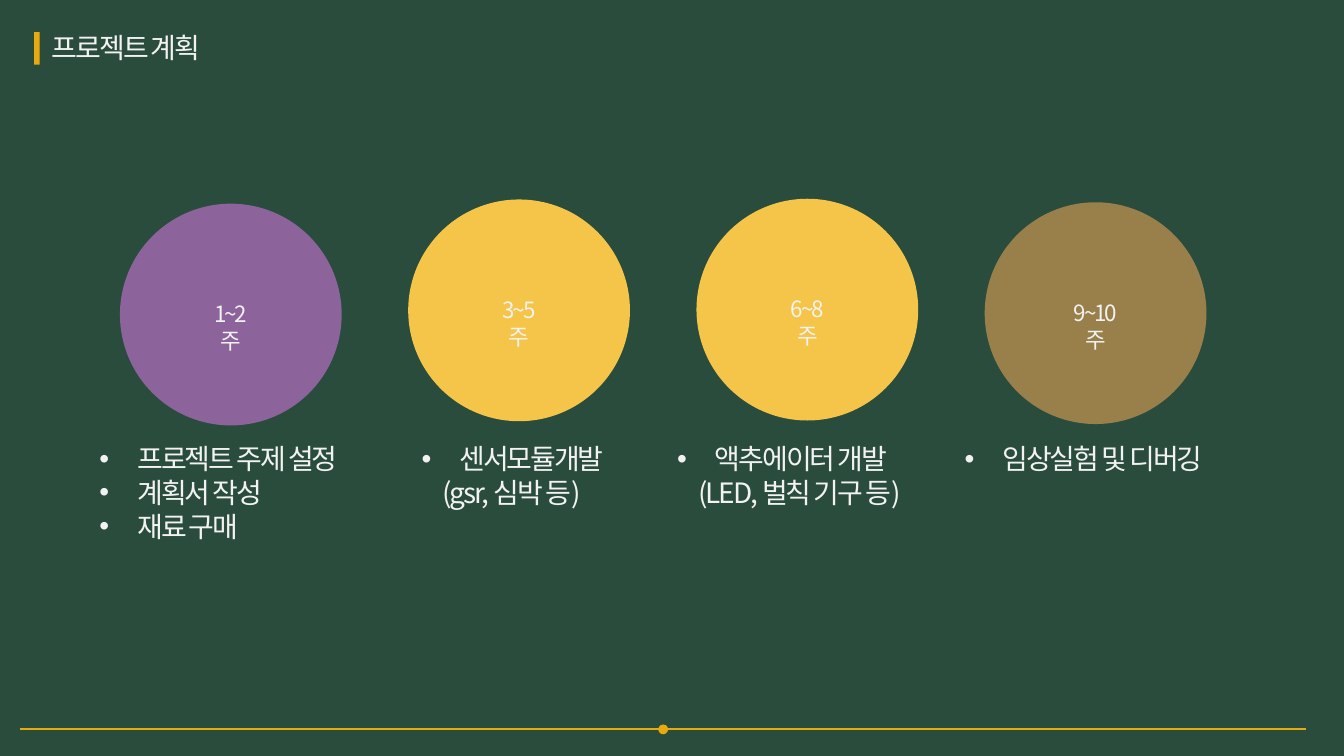
from dataclasses import dataclass

from lxml.etree import SubElement
from pptx import Presentation
from pptx.dml.color import RGBColor
from pptx.enum.shapes import MSO_CONNECTOR, MSO_SHAPE
from pptx.enum.text import MSO_AUTO_SIZE, PP_ALIGN
from pptx.oxml.ns import qn
from pptx.util import Pt


@dataclass(frozen=True)
class Theme:
    font: str = "Noto Sans CJK KR"
    background: str = "294C3D"
    text: str = "F2F2F2"
    accent: str = "E8AA0E"
    purple: str = "8C639B"
    yellow: str = "F4C549"
    brown: str = "99804B"
    body_size: float = 20
    label_size: float = 16
    letter_spacing: int = -150


class SlideBuilder:
    def __init__(self, slide, theme):
        self.slide = slide
        self.theme = theme
        fill = slide.background.fill
        fill.solid()
        fill.fore_color.rgb = RGBColor.from_string(theme.background)

    def shape(self, kind, left, top, width, height, color):
        shape = self.slide.shapes.add_shape(kind, Pt(left), Pt(top), Pt(width), Pt(height))
        shape.shadow.inherit = False
        shape.fill.solid()
        shape.fill.fore_color.rgb = RGBColor.from_string(color)
        shape.line.fill.background()

    def line(self, left, right, y):
        connector = self.slide.shapes.add_connector(
            MSO_CONNECTOR.STRAIGHT, Pt(left), Pt(y), Pt(right), Pt(y))
        connector.line.color.rgb = RGBColor.from_string(self.theme.accent)
        connector.line.width = Pt(1.5)
        SubElement(connector._element.spPr, qn("a:effectLst"))

    def text(self, content, left, top, width, height, size):
        box = self.slide.shapes.add_textbox(Pt(left), Pt(top), Pt(width), Pt(height))
        frame = box.text_frame
        frame.word_wrap = False
        frame.auto_size = MSO_AUTO_SIZE.SHAPE_TO_FIT_TEXT
        frame.text = content
        for paragraph in frame.paragraphs:
            for run in paragraph.runs:
                run.font.size = Pt(size)
                run.font.name = self.theme.font
                run.font.color.rgb = RGBColor.from_string(self.theme.text)
                properties = run._r.get_or_add_rPr()
                properties.set("spc", str(self.theme.letter_spacing))
                SubElement(properties, qn("a:ea")).set("typeface", self.theme.font)
        return frame

    def label(self, content, center, top, width):
        frame = self.text(content, center - width / 2, top, width, 26.6, self.theme.label_size)
        frame.auto_size = MSO_AUTO_SIZE.NONE
        frame.word_wrap = True
        frame.margin_left = frame.margin_right = Pt(10.8)
        frame.paragraphs[0].alignment = PP_ALIGN.CENTER

    def task_list(self, tasks, left, width):
        frame = self.text("\n".join(tasks), left, 312, width, 7.2 + 24.2 * len(tasks),
                          self.theme.body_size)
        for paragraph in frame.paragraphs:
            properties = paragraph._p.get_or_add_pPr()
            if paragraph.text.startswith("("):
                properties.set("marL", str(Pt(15)))
                continue
            properties.set("marL", str(Pt(27)))
            properties.set("indent", str(Pt(-27)))
            SubElement(properties, qn("a:buFont")).set("typeface", "Arial")
            SubElement(properties, qn("a:buChar")).set("char", "•")


def main():
    theme = Theme()
    presentation = Presentation()
    presentation.slide_width = Pt(960)
    presentation.slide_height = Pt(540)
    slide = presentation.slides.add_slide(presentation.slide_layouts[6])
    builder = SlideBuilder(slide, theme)

    builder.text("프로젝트 계획", 30, 18, 132, 31.5, theme.body_size)
    builder.shape(MSO_SHAPE.RECTANGLE, 24.4, 23, 4, 23.2, theme.accent)

    builder.line(14.4, 933, 521)
    builder.shape(MSO_SHAPE.OVAL, 470.2, 517.5, 7, 7, theme.accent)

    phases = [
        ("1~2주", theme.purple, 145.5, 56, 64, 202,
         ["프로젝트 주제 설정", "계획서 작성", "재료 구매"]),
        ("3~5주", theme.yellow, 142.5, 56, 294, 154,
         ["센서모듈개발", "(gsr, 심박 등)"]),
        ("6~8주", theme.yellow, 142, 56, 476.6, 200,
         ["액추에이터 개발", "(LED, 벌칙 기구 등)"]),
        ("9~10주", theme.brown, 144.5, 61, 682, 202,
         ["임상실험 및 디버깅"]),
    ]
    diameter = 158.4
    for index, (weeks, color, top, label_width, left, width, tasks) in enumerate(phases):
        circle_left = 85.7 + 205.9 * index
        builder.shape(MSO_SHAPE.OVAL, circle_left, top, diameter, diameter, color)
        builder.label(weeks, circle_left + diameter / 2, top + 65.5, label_width)
        builder.task_list(tasks, left, width)

    presentation.save("out.pptx")


if __name__ == "__main__":
    main()
